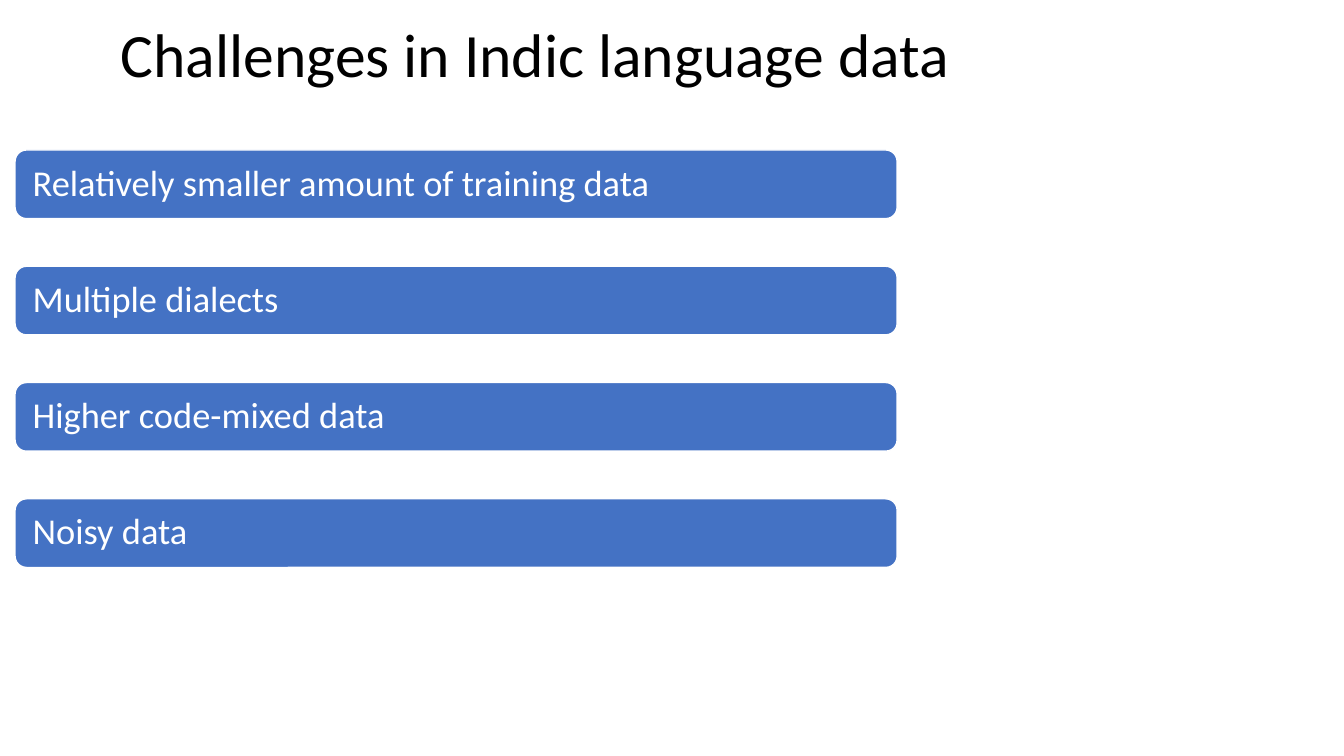
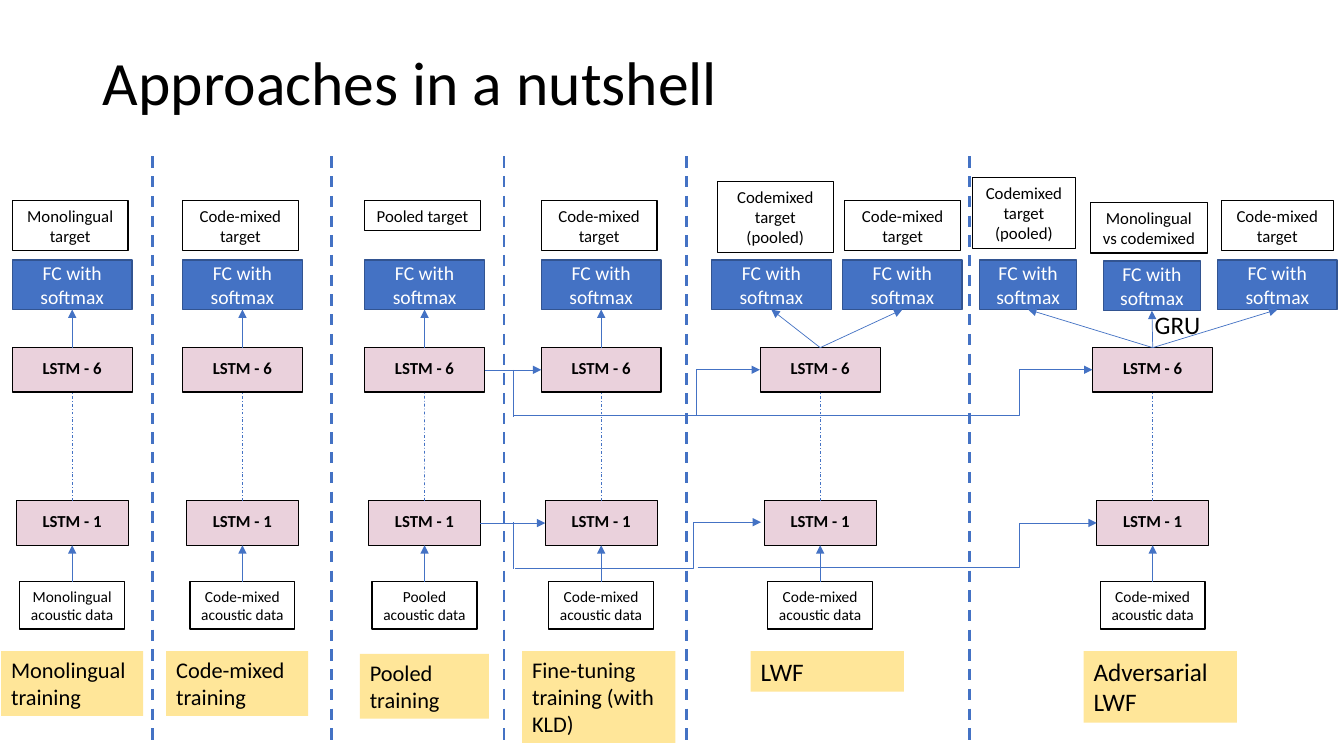
from dataclasses import dataclass

from lxml import etree
from pptx import Presentation
from pptx.dml.color import RGBColor
from pptx.enum.dml import MSO_LINE
from pptx.enum.shapes import MSO_CONNECTOR, MSO_SHAPE
from pptx.enum.text import MSO_ANCHOR, MSO_AUTO_SIZE, PP_ALIGN
from pptx.oxml.ns import qn
from pptx.util import Cm, Pt

RECT, ROUNDED = MSO_SHAPE.RECTANGLE, MSO_SHAPE.ROUNDED_RECTANGLE
STRAIGHT, ELBOW = MSO_CONNECTOR.STRAIGHT, MSO_CONNECTOR.ELBOW
LEFT, CENTER = PP_ALIGN.LEFT, PP_ALIGN.CENTER
TOP, MIDDLE = MSO_ANCHOR.TOP, MSO_ANCHOR.MIDDLE
NO_AUTOFIT = MSO_AUTO_SIZE.NONE
DASH, DASH_DOT = MSO_LINE.DASH, MSO_LINE.DASH_DOT
TOP_SITE, LEFT_SITE, BOTTOM_SITE, RIGHT_SITE = range(4)

FONT = "Calibri"
TITLE_ONLY = 5
COLORS = {
    "black": "000000",
    "white": "FFFFFF",
    "blue": "4472C4",
    "navy": "325491",
    "pink": "EAD1DC",
    "yellow": "FFE699",
}


@dataclass
class BoxStyle:
    """Look of one kind of box; insets are horizontal and vertical, in cm."""

    fill: str
    size: float
    border: str = ""
    border_width: float = 1
    color: str = "black"
    bold: bool = False
    align: int = CENTER
    anchor: int = TOP
    insets: tuple = (0.25, 0.13)
    spacing: float = 1.0
    outline: int = RECT


CHALLENGE = BoxStyle("blue", 26, "white", color="white", align=LEFT,
                     anchor=MIDDLE, insets=(0.36, 0.28), spacing=0.9, outline=ROUNDED)
ACOUSTIC = BoxStyle("white", 11, "black")
LSTM = BoxStyle("pink", 12, "black", 0.75, bold=True, insets=(0.25, 0.25))
SOFTMAX = BoxStyle("blue", 14, "navy", color="white", anchor=MIDDLE)
TARGET = BoxStyle("white", 12, "black")
CAPTION = BoxStyle("yellow", 16, align=LEFT)
WIDE_CAPTION = BoxStyle("yellow", 18, align=LEFT)

CHALLENGES = [
    "Relatively smaller amount of training data",
    "Multiple dialects",
    "Higher code-mixed data",
    "Noisy data",
]

SINGLE_NETWORKS = [
    (1.82, "Monolingual", 1.27),
    (6.11, "Code-mixed", 1.27),
    (10.7, "Pooled", 0.76),
    (15.15, "Code-mixed", 1.27),
]
LWF_CENTER, ADVERSARIAL_CENTER = 20.67, 29.05
LWF_HEADS = [
    ("Codemixed target (pooled)", (18.08, 4.57, 2.92, 1.8), (17.93, 6.55, 3.02, 1.25)),
    ("Code-mixed target", (21.29, 5.05, 2.92, 1.27), (21.23, 6.55, 3.02, 1.25)),
]
ADVERSARIAL_HEADS = [
    ("Codemixed target (pooled)", (24.51, 4.47, 2.59, 1.8), (24.69, 6.55, 2.44, 1.25)),
    ("Monolingual vs codemixed", (27.48, 5.11, 2.95, 1.27), (27.81, 6.58, 2.44, 1.25)),
    ("Code-mixed target", (30.78, 5.05, 2.82, 1.27), (30.68, 6.55, 3.02, 1.25)),
]
CAPTIONS = [
    ("Monolingual training", CAPTION, (0.03, 16.41, 3.58, 1.63)),
    ("Code-mixed training", CAPTION, (4.19, 16.41, 3.58, 1.63)),
    ("Pooled training", CAPTION, (9.07, 16.48, 3.25, 1.63)),
    ("Fine-tuning training (with KLD)", CAPTION, (13.16, 16.41, 3.86, 2.31)),
    ("LWF", WIDE_CAPTION, (18.92, 16.41, 3.86, 1.02)),
    ("Adversarial LWF", WIDE_CAPTION, (27.31, 16.41, 3.86, 1.8)),
]
SEPARATORS = [3.84, 8.36, 12.7, 17.3, 24.43]
STEMS = [(9.32, 10.5), (13.16, 14.35)]
TRANSFERS = [
    ((12.93, 10.46), (19.15, 9.32), 17.55),
    ((12.98, 14.33), (19.18, 13.16), 17.48),
    ((17.55, 10.46), (27.53, 9.32), 25.68),
    ((17.58, 14.3), (27.64, 13.18), 25.68),
]


def rgb(name):
    """Return the named colour."""
    return RGBColor.from_string(COLORS[name])


def write(frame, text, size, color="black", bold=False, align=LEFT, spacing=1.0):
    """Put one formatted paragraph into a text frame."""
    frame.text = text
    frame.word_wrap = True
    frame.auto_size = NO_AUTOFIT
    paragraph = frame.paragraphs[0]
    paragraph.alignment = align
    paragraph.line_spacing = spacing
    for run in paragraph.runs:
        run.font.name = FONT
        run.font.size = Pt(size)
        run.font.bold = bold
        run.font.color.rgb = rgb(color)


def add_titled_slide(deck, text, bounds):
    """Add a slide with the shared title style."""
    slide = deck.slides.add_slide(deck.slide_layouts[TITLE_ONLY])
    title = slide.shapes.title
    title.left, title.top, title.width, title.height = map(Cm, bounds)
    write(title.text_frame, text, 44, spacing=0.9)
    title.text_frame.vertical_anchor = MIDDLE
    return slide


def add_box(slide, text, style, bounds):
    """Add a filled box with text."""
    box = slide.shapes.add_shape(style.outline, *map(Cm, bounds))
    box.shadow.inherit = False
    box.fill.solid()
    box.fill.fore_color.rgb = rgb(style.fill)
    if style.border:
        box.line.color.rgb = rgb(style.border)
        box.line.width = Pt(style.border_width)
    else:
        box.line.fill.background()
    frame = box.text_frame
    write(frame, text, style.size, style.color, style.bold, style.align, style.spacing)
    frame.vertical_anchor = style.anchor
    frame.margin_left = frame.margin_right = Cm(style.insets[0])
    frame.margin_top = frame.margin_bottom = Cm(style.insets[1])
    return box


def add_line(slide, start, end, width=0.5, dash=None, arrow=False, kind=STRAIGHT):
    """Add a blue connector between two points."""
    line = slide.shapes.add_connector(kind, *map(Cm, (*start, *end)))
    line.line.color.rgb = rgb("blue")
    line.line.width = Pt(width)
    if dash:
        line.line.dash_style = dash
    properties = line.element.spPr
    if arrow:
        etree.SubElement(properties.find(qn("a:ln")), qn("a:tailEnd"), type="triangle")
    etree.SubElement(properties, qn("a:effectLst"))
    return line


def link(slide, source, source_site, target, target_site, **look):
    """Join two boxes with a glued connector."""
    line = add_line(slide, (0, 0), (0, 0), **look)
    line.begin_connect(source, source_site)
    line.end_connect(target, target_site)


def add_transfer(slide, start, end, bend):
    """Add an elbow arrow whose upright part stands at bend."""
    line = add_line(slide, start, end, arrow=True, kind=ELBOW)
    ratio = round((bend - start[0]) / (end[0] - start[0]) * 100000)
    guides = line.element.spPr.find(qn("a:prstGeom")).get_or_add_avLst()
    etree.SubElement(guides, qn("a:gd"), name="adj1", fmla=f"val {ratio}")


def add_network(slide, center, data, heads):
    """Add a stack from acoustic data to its output heads."""
    def layer(text, style, top, width, height):
        return add_box(slide, text, style, (center - width / 2, top, width, height))

    acoustic = layer(f"{data} acoustic data", ACOUSTIC, 14.66, 2.64, 1.19)
    first = layer("LSTM - 1", LSTM, 12.62, 2.82, 1.12)
    last = layer("LSTM - 6", LSTM, 8.76, 3.02, 1.12)
    link(slide, acoustic, TOP_SITE, first, BOTTOM_SITE, arrow=True)
    link(slide, first, TOP_SITE, last, BOTTOM_SITE, dash=DASH_DOT)
    for target, target_bounds, softmax_bounds in heads:
        add_box(slide, target, TARGET, target_bounds)
        softmax = add_box(slide, "FC with softmax", SOFTMAX, softmax_bounds)
        link(slide, last, TOP_SITE, softmax, BOTTOM_SITE, arrow=True)
    return first, last


def build_challenges(deck):
    """Build the slide of challenge bars."""
    slide = add_titled_slide(deck, "Challenges in Indic language data",
                             (2.79, -0.38, 29.21, 3.68))
    for row, challenge in enumerate(CHALLENGES):
        add_box(slide, challenge, CHALLENGE, (0.38, 3.78 + 2.93 * row, 22.23, 1.73))


def build_approaches(deck):
    """Build the slide comparing the training approaches."""
    slide = add_titled_slide(deck, "Approaches in a nutshell", (2.34, 1.02, 29.21, 2.26))
    for x in SEPARATORS:
        add_line(slide, (x, 3.94), (x, 18.72), width=2, dash=DASH)

    networks = []
    for center, data, target_height in SINGLE_NETWORKS:
        left = center - 1.51
        head = (f"{data} target", (left, 5.05, 2.92, target_height),
                (left, 6.55, 3.02, 1.25))
        networks.append(add_network(slide, center, data, [head]))
    add_network(slide, LWF_CENTER, "Code-mixed", LWF_HEADS)
    add_network(slide, ADVERSARIAL_CENTER, "Code-mixed", ADVERSARIAL_HEADS)

    pooled, fine_tuned = networks[2:]
    for source, target in zip(pooled, fine_tuned):
        link(slide, source, RIGHT_SITE, target, LEFT_SITE, arrow=True)
    for top, bottom in STEMS:
        add_line(slide, (12.93, top), (12.93, bottom))
    for start, end, bend in TRANSFERS:
        add_transfer(slide, start, end, bend)

    for caption, style, bounds in CAPTIONS:
        add_box(slide, caption, style, bounds)
    gru = slide.shapes.add_textbox(*map(Cm, (28.85, 7.67, 2.08, 1.02)))
    write(gru.text_frame, "GRU", 18)


def main():
    """Build and save the deck."""
    deck = Presentation()
    deck.slide_width, deck.slide_height = Cm(33.87), Cm(19.05)
    build_challenges(deck)
    build_approaches(deck)
    deck.save("out.pptx")


if __name__ == "__main__":
    main()
